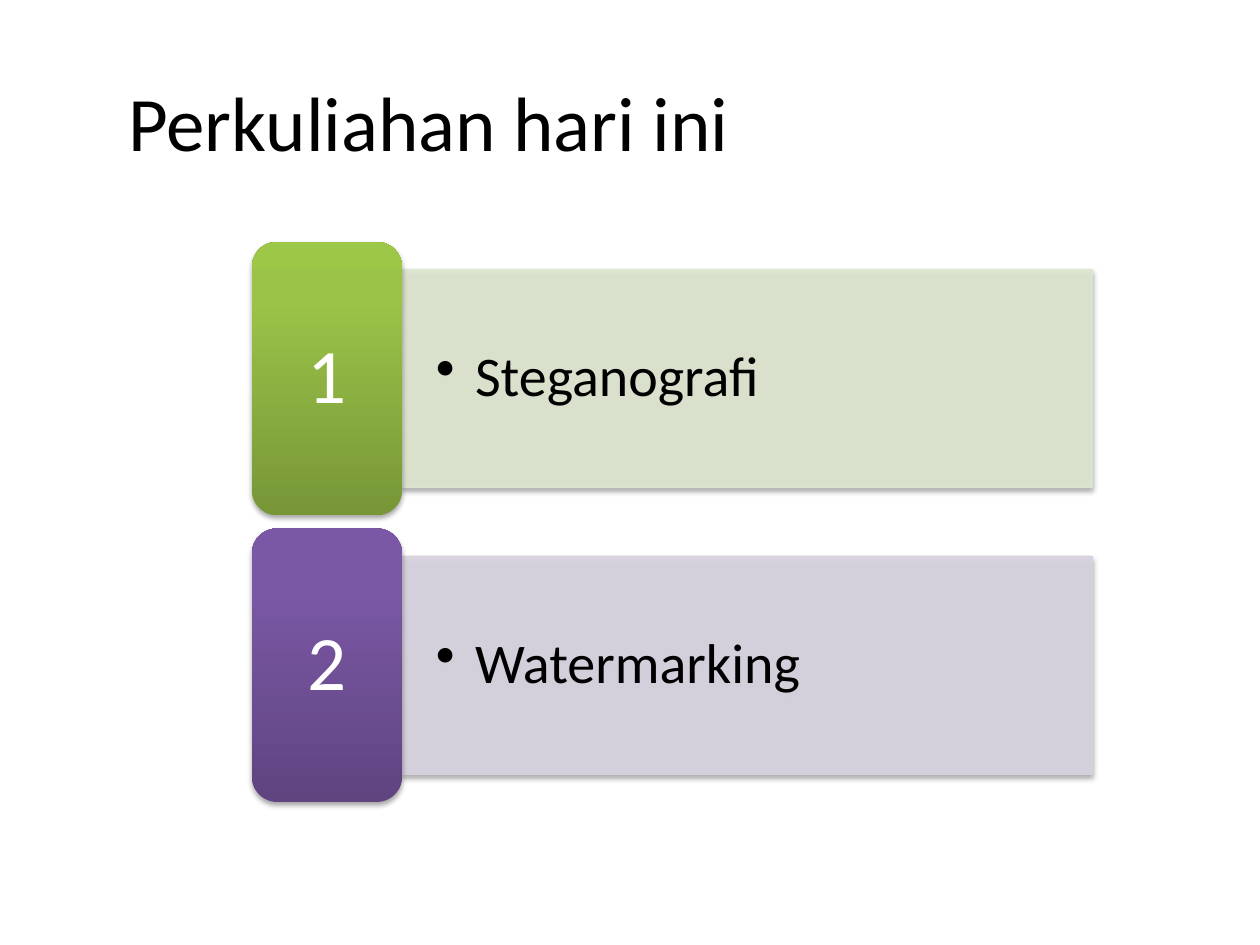
from dataclasses import dataclass

from lxml import etree
from pptx import Presentation
from pptx.dml.color import RGBColor
from pptx.enum.shapes import MSO_SHAPE
from pptx.enum.text import MSO_ANCHOR, PP_ALIGN
from pptx.oxml import parse_xml
from pptx.oxml.ns import nsdecls, qn
from pptx.shapes.autoshape import Shape
from pptx.util import Inches, Pt

RECTANGLE = MSO_SHAPE.RECTANGLE
ROUNDED_RECTANGLE = MSO_SHAPE.ROUNDED_RECTANGLE
MIDDLE = MSO_ANCHOR.MIDDLE
LEFT = PP_ALIGN.LEFT
CENTER = PP_ALIGN.CENTER

BLACK = RGBColor(0x00, 0x00, 0x00)
WHITE = RGBColor(0xFF, 0xFF, 0xFF)
PALE_GREEN = RGBColor(0xDE, 0xE7, 0xD1)
DARK_GREEN = RGBColor(0x77, 0x97, 0x37)
GREEN = RGBColor(0x9B, 0xC3, 0x48)
BRIGHT_GREEN = RGBColor(0x9D, 0xC7, 0x46)
PALE_PURPLE = RGBColor(0xD8, 0xD3, 0xE0)
DARK_PURPLE = RGBColor(0x5F, 0x44, 0x80)
PURPLE = RGBColor(0x7B, 0x58, 0xA6)
BRIGHT_PURPLE = RGBColor(0x7C, 0x57, 0xA8)

FONT = "Calibri"
SLIDE_WIDTH = Inches(10)
SLIDE_HEIGHT = Inches(7.5)
COLUMN = SLIDE_WIDTH / 100
ROW = SLIDE_HEIGHT / 75

TAB_LEFT = 20
TAB_TOP = 19.2
TAB_WIDTH = 11.9
TAB_HEIGHT = 21.7
PANEL_WIDTH = 54.8
PANEL_HEIGHT = 17.3
TOPIC_STEP = 22.75


@dataclass(frozen=True)
class Box:
    left: float
    top: float
    width: float
    height: float

    def lengths(self) -> tuple[int, int, int, int]:
        return (round(self.left * COLUMN), round(self.top * ROW),
                round(self.width * COLUMN), round(self.height * ROW))


@dataclass(frozen=True)
class Topic:
    name: str
    panel_color: RGBColor
    tab_colors: tuple[RGBColor, RGBColor, RGBColor]


TOPICS = [
    Topic("Steganografi", PALE_GREEN, (DARK_GREEN, GREEN, BRIGHT_GREEN)),
    Topic("Watermarking", PALE_PURPLE, (DARK_PURPLE, PURPLE, BRIGHT_PURPLE)),
]


def write_text(shape: Shape, text: str, *, size: float, color: RGBColor = BLACK,
               align: PP_ALIGN = LEFT, spacing: float = 1.0, bullet: bool = False,
               side_margin: float = 0.1) -> None:
    frame = shape.text_frame
    frame.word_wrap = True
    frame.vertical_anchor = MIDDLE
    frame.margin_left = frame.margin_right = Inches(side_margin)
    paragraph = frame.paragraphs[0]
    if bullet:
        properties = paragraph._p.get_or_add_pPr()
        properties.set("marL", str(Inches(0.31)))
        properties.set("indent", str(-Inches(0.31)))
        etree.SubElement(properties, qn("a:buChar")).set("char", "•")
    paragraph.text = text
    paragraph.alignment = align
    paragraph.line_spacing = spacing
    paragraph.font.name = FONT
    paragraph.font.size = Pt(size)
    paragraph.font.color.rgb = color


def add_shadow(shape: Shape) -> None:
    shape.shadow.inherit = False
    effects = shape._element.spPr.find(qn("a:effectLst"))
    effects.append(parse_xml(
        f'<a:outerShdw {nsdecls("a")} blurRad="{Pt(3.1)}" dist="{Pt(1.8)}" '
        'dir="5400000" rotWithShape="0"><a:srgbClr val="000000">'
        '<a:alpha val="35000"/></a:srgbClr></a:outerShdw>'))


def add_panel(slide, box: Box, topic: Topic) -> None:
    panel = slide.shapes.add_shape(RECTANGLE, *box.lengths())
    panel.fill.solid()
    panel.fill.fore_color.rgb = topic.panel_color
    panel.line.color.rgb = topic.panel_color
    panel.line.width = Pt(0.75)
    for color in panel._element.spPr.iter(qn("a:srgbClr")):
        etree.SubElement(color, qn("a:alpha")).set("val", "90000")
    add_shadow(panel)
    write_text(panel, topic.name, size=32, spacing=0.9, bullet=True, side_margin=0.27)


def add_tab(slide, box: Box, number: int, topic: Topic) -> None:
    tab = slide.shapes.add_shape(ROUNDED_RECTANGLE, *box.lengths())
    tab.line.fill.background()
    stops = "".join(
        f'<a:gs pos="{position}"><a:srgbClr val="{color}"/></a:gs>'
        for position, color in zip((0, 80000, 100000), topic.tab_colors))
    tab._element.spPr.find(qn("a:prstGeom")).addnext(parse_xml(
        f'<a:gradFill {nsdecls("a")} rotWithShape="1"><a:gsLst>{stops}</a:gsLst>'
        '<a:lin ang="16200000" scaled="0"/></a:gradFill>'))
    add_shadow(tab)
    write_text(tab, str(number), size=44, color=WHITE, align=CENTER, spacing=0.9)


def add_topic(slide, index: int, topic: Topic) -> None:
    top = TAB_TOP + index * TOPIC_STEP
    panel_top = top + (TAB_HEIGHT - PANEL_HEIGHT) / 2
    add_panel(slide, Box(TAB_LEFT + TAB_WIDTH, panel_top, PANEL_WIDTH, PANEL_HEIGHT), topic)
    add_tab(slide, Box(TAB_LEFT, top, TAB_WIDTH, TAB_HEIGHT), index + 1, topic)


def main() -> None:
    presentation = Presentation()
    presentation.slide_width = SLIDE_WIDTH
    presentation.slide_height = SLIDE_HEIGHT
    slide = presentation.slides.add_slide(presentation.slide_layouts[6])
    slide.background.fill.solid()
    slide.background.fill.fore_color.rgb = WHITE
    for index, topic in enumerate(TOPICS):
        add_topic(slide, index, topic)
    title = slide.shapes.add_textbox(*Box(9.2, 3.3, 88.3, 12.5).lengths())
    write_text(title, "Perkuliahan hari ini", size=44)
    presentation.save("out.pptx")


if __name__ == "__main__":
    main()
